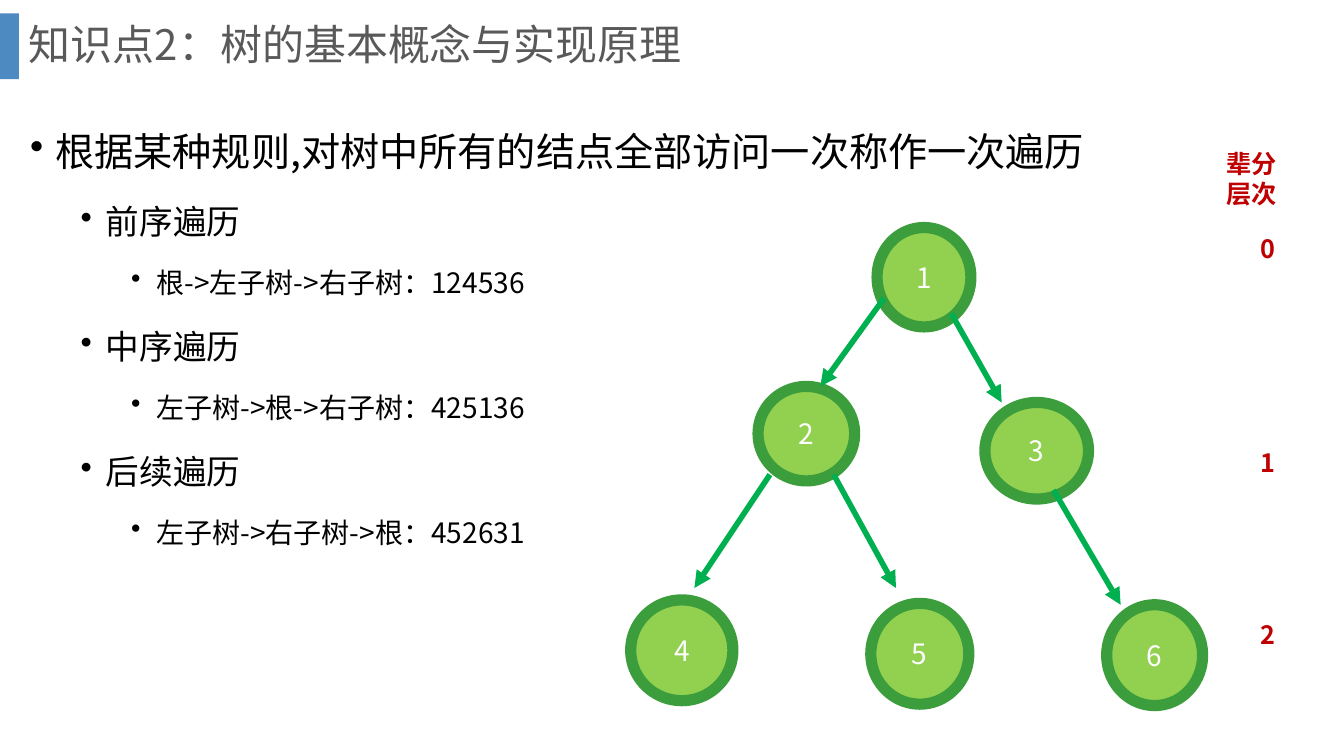
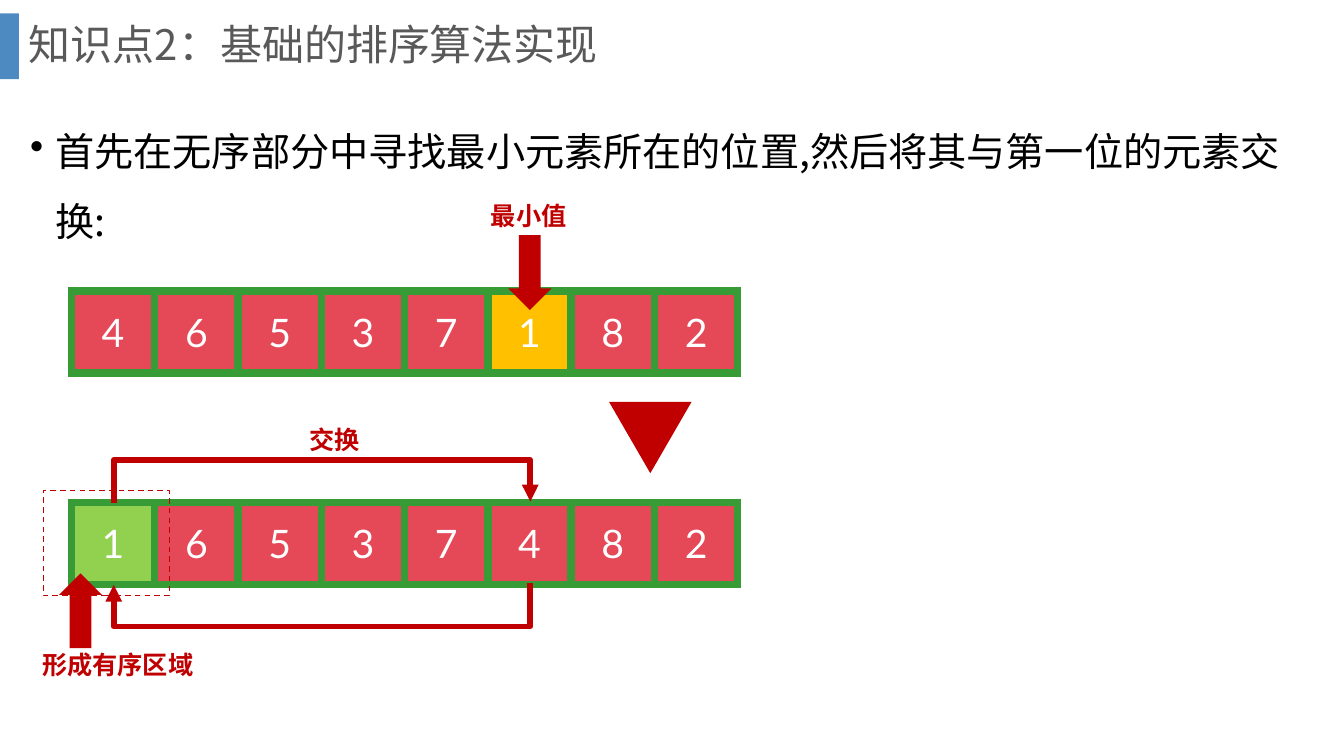
"""Build two lesson slides: tree traversal and selection sort."""
from lxml.etree import SubElement
from pptx import Presentation
from pptx.dml.color import RGBColor
from pptx.enum.dml import MSO_LINE
from pptx.enum.shapes import MSO_CONNECTOR, MSO_SHAPE
from pptx.enum.text import MSO_ANCHOR, PP_ALIGN
from pptx.oxml.ns import qn
from pptx.util import Pt

TEXT_FONT = "Noto Sans CJK SC"
NUMBER_FONT = "Lato"
BLACK = RGBColor(0x00, 0x00, 0x00)
WHITE = RGBColor(0xFF, 0xFF, 0xFF)
TITLE_GRAY = RGBColor(0x59, 0x59, 0x59)
BAR_BLUE = RGBColor(0x4D, 0x8A, 0xC1)
NODE_GREEN = RGBColor(0x92, 0xD0, 0x50)
RING_GREEN = RGBColor(0x3B, 0x9D, 0x3B)
EDGE_GREEN = RGBColor(0x00, 0xB0, 0x50)
BORDER_GREEN = "379C35"
CELL_RED = RGBColor(0xE5, 0x49, 0x58)
MINIMUM_YELLOW = RGBColor(0xFF, 0xC0, 0x00)
DARK_RED = RGBColor(0xC0, 0x00, 0x00)


def add_run(paragraph, text, size, color, bold=False, font=TEXT_FONT):
    """Add one styled run to a paragraph."""
    run = paragraph.add_run()
    run.text = text
    run.font.size = Pt(size)
    run.font.bold = bold
    run.font.name = font
    run.font.color.rgb = color
    SubElement(run.font._element, qn("a:ea"), typeface=font)


def add_arrow(slide, kind, start, end, color):
    """Add a connector that ends in a triangle."""
    connector = slide.shapes.add_connector(kind, *map(Pt, start + end))
    connector.line.color.rgb = color
    connector.line.width = Pt(4)
    properties = connector._element.spPr
    SubElement(properties.find(qn("a:ln")), qn("a:tailEnd"), type="triangle")
    SubElement(properties, qn("a:effectLst"))
    return connector


presentation = Presentation()
presentation.slide_width = Pt(960)
presentation.slide_height = Pt(540)

BULLET_SIZES = [28, 24, 20]
CONTENTS = [
    ("知识点2：树的基本概念与实现原理", [
        (0, "根据某种规则,对树中所有的结点全部访问一次称作一次遍历"),
        (1, "前序遍历"),
        (2, "根->左子树->右子树：124536"),
        (1, "中序遍历"),
        (2, "左子树->根->右子树：425136"),
        (1, "后续遍历"),
        (2, "左子树->右子树->根：452631"),
    ]),
    ("知识点2：基础的排序算法实现", [
        (0, "首先在无序部分中寻找最小元素所在的位置,然后将其与第一位的元素交换:"),
    ]),
]

for title, bullets in CONTENTS:
    slide = presentation.slides.add_slide(presentation.slide_layouts[6])
    bar = slide.shapes.add_shape(MSO_SHAPE.RECTANGLE, Pt(0), Pt(9.5), Pt(13.5), Pt(47))
    bar.shadow.inherit = False
    bar.fill.solid()
    bar.fill.fore_color.rgb = BAR_BLUE
    bar.line.fill.background()

    title_frame = slide.shapes.add_textbox(Pt(13.5), Pt(0), Pt(911.5), Pt(67)).text_frame
    title_frame.word_wrap = True
    title_frame.vertical_anchor = MSO_ANCHOR.MIDDLE
    title_frame.paragraphs[0].line_spacing = 0.9
    add_run(title_frame.paragraphs[0], title, 30, TITLE_GRAY)

    body_frame = slide.shapes.add_textbox(Pt(14.5), Pt(70.5), Pt(929), Pt(429)).text_frame
    body_frame.word_wrap = True
    for index, (level, text) in enumerate(bullets):
        paragraph = body_frame.add_paragraph() if index else body_frame.paragraphs[0]
        paragraph.level = level
        properties = paragraph._p.get_or_add_pPr()
        properties.set("marL", str(Pt(18 + 36 * level)))
        properties.set("indent", str(Pt(-18)))
        SubElement(properties, qn("a:buChar"), char="•")
        paragraph.line_spacing = 1.5
        if index:
            paragraph.space_before = Pt(5)
        add_run(paragraph, text, BULLET_SIZES[level], BLACK)

tree_slide, sort_slide = presentation.slides

NODES = [
    (626.5, 162.5, 67, 71), (541.5, 276, 69, 67.5), (703.5, 287.5, 74, 69),
    (450.5, 428.5, 73, 72), (622, 431, 70, 72), (790.5, 432, 68.5, 72),
]
for number, box in enumerate(NODES, 1):
    node = tree_slide.shapes.add_shape(MSO_SHAPE.OVAL, *map(Pt, box))
    node.shadow.inherit = False
    node.fill.solid()
    node.fill.fore_color.rgb = NODE_GREEN
    node.line.color.rgb = RING_GREEN
    node.line.width = Pt(8)
    node.text_frame.vertical_anchor = MSO_ANCHOR.MIDDLE
    node.text_frame.paragraphs[0].alignment = PP_ALIGN.CENTER
    add_run(node.text_frame.paragraphs[0], str(number), 20, WHITE)

EDGES = [
    ((631.5, 213), (586, 276)), ((679.5, 224), (715.5, 287.5)),
    ((550, 339), (496, 420)), ((595.5, 339), (640, 420)),
    ((752.5, 350), (800.5, 432)),
]
for start, end in EDGES:
    add_arrow(tree_slide, MSO_CONNECTOR.STRAIGHT, start, end, EDGE_GREEN)

CELL_WIDTH = 59.5
CELL_HEIGHT = 58.5
ARRAYS = [
    (208, "46537182", 5, MINIMUM_YELLOW),
    (359, "16537482", 0, NODE_GREEN),
]
for top, digits, marked, mark_color in ARRAYS:
    frame = sort_slide.shapes.add_table(
        1, len(digits), Pt(51), Pt(top), Pt(CELL_WIDTH * len(digits)), Pt(CELL_HEIGHT))
    table = frame.table
    table.first_row = False
    table.horz_banding = False
    for column, digit in enumerate(digits):
        cell = table.cell(0, column)
        cell.vertical_anchor = MSO_ANCHOR.MIDDLE
        cell.text_frame.paragraphs[0].alignment = PP_ALIGN.CENTER
        add_run(cell.text_frame.paragraphs[0], digit, 28, WHITE, font=NUMBER_FONT)
        properties = cell._tc.get_or_add_tcPr()
        for side in ("a:lnL", "a:lnR", "a:lnT", "a:lnB"):
            border = SubElement(properties, qn(side), w=str(Pt(6)))
            border_fill = SubElement(border, qn("a:solidFill"))
            SubElement(border_fill, qn("a:srgbClr"), val=BORDER_GREEN)
        cell.fill.solid()
        cell.fill.fore_color.rgb = mark_color if column == marked else CELL_RED

for top, flipped in [(210, True), (268.5, False)]:
    swap = add_arrow(sort_slide, MSO_CONNECTOR.ELBOW,
                     (229.5, top), (230.5, top + 297.5), DARK_RED)
    transform = swap._element.spPr.find(qn("a:xfrm"))
    transform.set("rot", "5400000")
    if flipped:
        transform.set("flipH", "1")
        transform.set("flipV", "1")
    adjustments = swap._element.spPr.find(qn("a:prstGeom")).get_or_add_avLst()
    SubElement(adjustments, qn("a:gd"), name="adj1", fmla="val 3100000")

ordered_region = sort_slide.shapes.add_shape(
    MSO_SHAPE.RECTANGLE, Pt(31), Pt(350.5), Pt(90), Pt(75))
ordered_region.shadow.inherit = False
ordered_region.fill.background()
ordered_region.line.color.rgb = DARK_RED
ordered_region.line.width = Pt(1)
ordered_region.line.dash_style = MSO_LINE.DASH

MARKERS = [
    (MSO_SHAPE.DOWN_ARROW, (363, 168, 31, 53.5), 0),
    (MSO_SHAPE.UP_ARROW, (42, 409.5, 31, 53.5), 0),
    (MSO_SHAPE.ISOSCELES_TRIANGLE, (435, 287, 59, 51), 180),
]
for kind, box, rotation in MARKERS:
    marker = sort_slide.shapes.add_shape(kind, *map(Pt, box))
    marker.shadow.inherit = False
    marker.rotation = rotation
    marker.fill.solid()
    marker.fill.fore_color.rgb = DARK_RED
    marker.line.fill.background()

LABELS = [
    (tree_slide, "辈分层次", 869, 102.5, 67.5),
    (tree_slide, "0", 893, 163, 33),
    (tree_slide, "1", 893, 316, 33),
    (tree_slide, "2", 893, 439, 33),
    (sort_slide, "最小值", 343.5, 139.5, 70),
    (sort_slide, "交换", 214, 299.5, 52),
    (sort_slide, "形成有序区域", 23, 460, 124),
]
for slide, text, left, top, width in LABELS:
    label_frame = slide.shapes.add_textbox(Pt(left), Pt(top), Pt(width), Pt(29)).text_frame
    label_frame.word_wrap = True
    add_run(label_frame.paragraphs[0], text, 18, DARK_RED, bold=True)

presentation.save("out.pptx")
